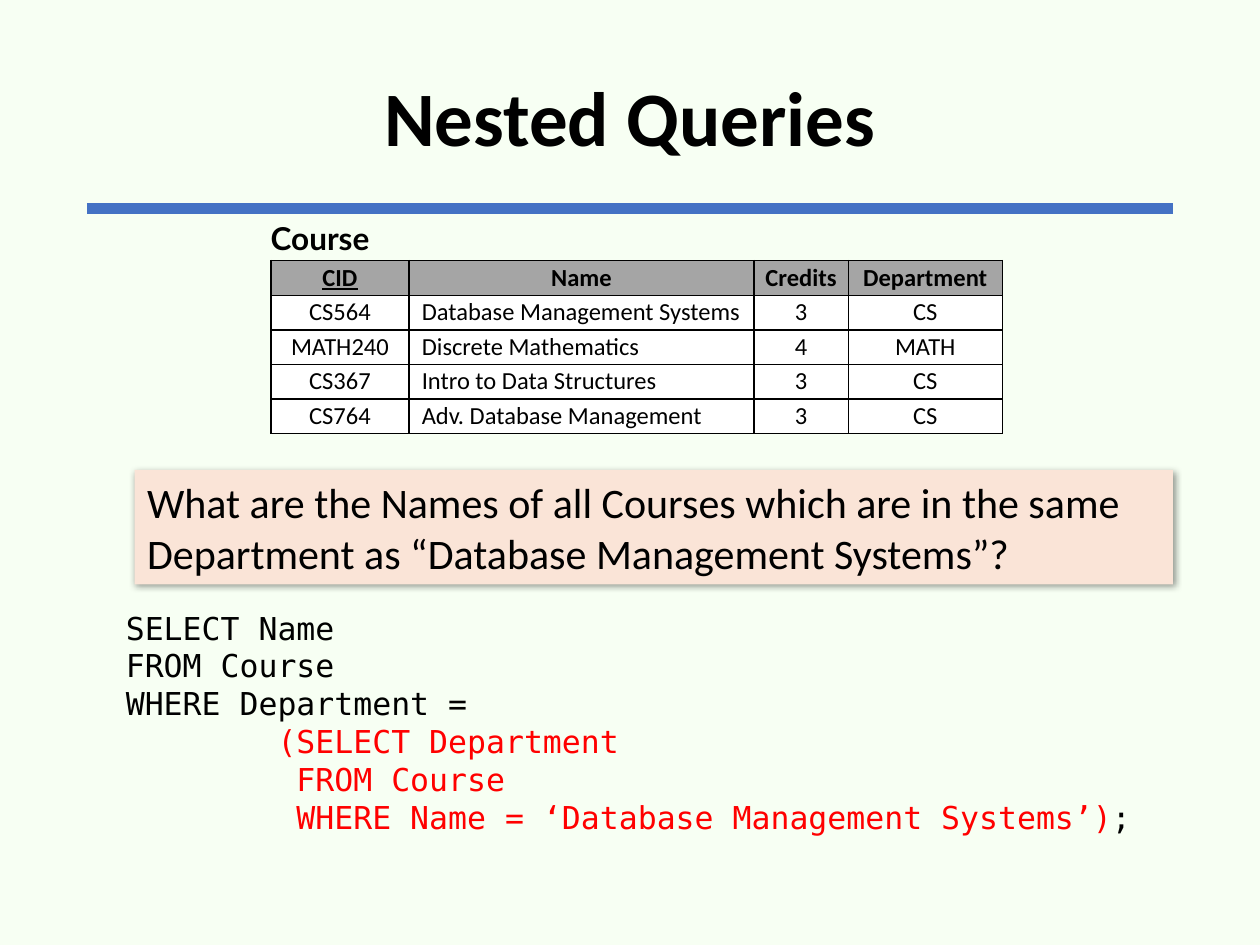
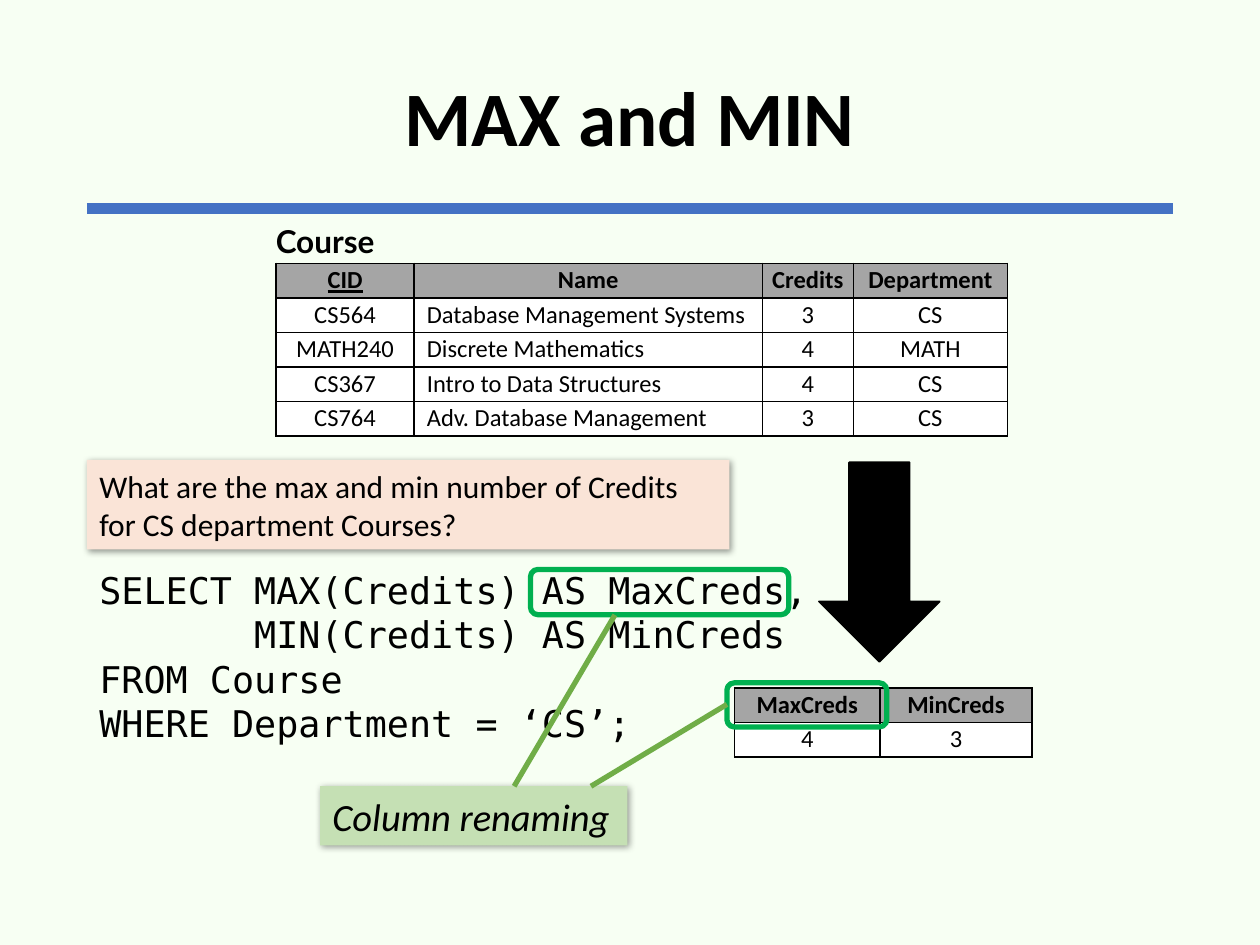
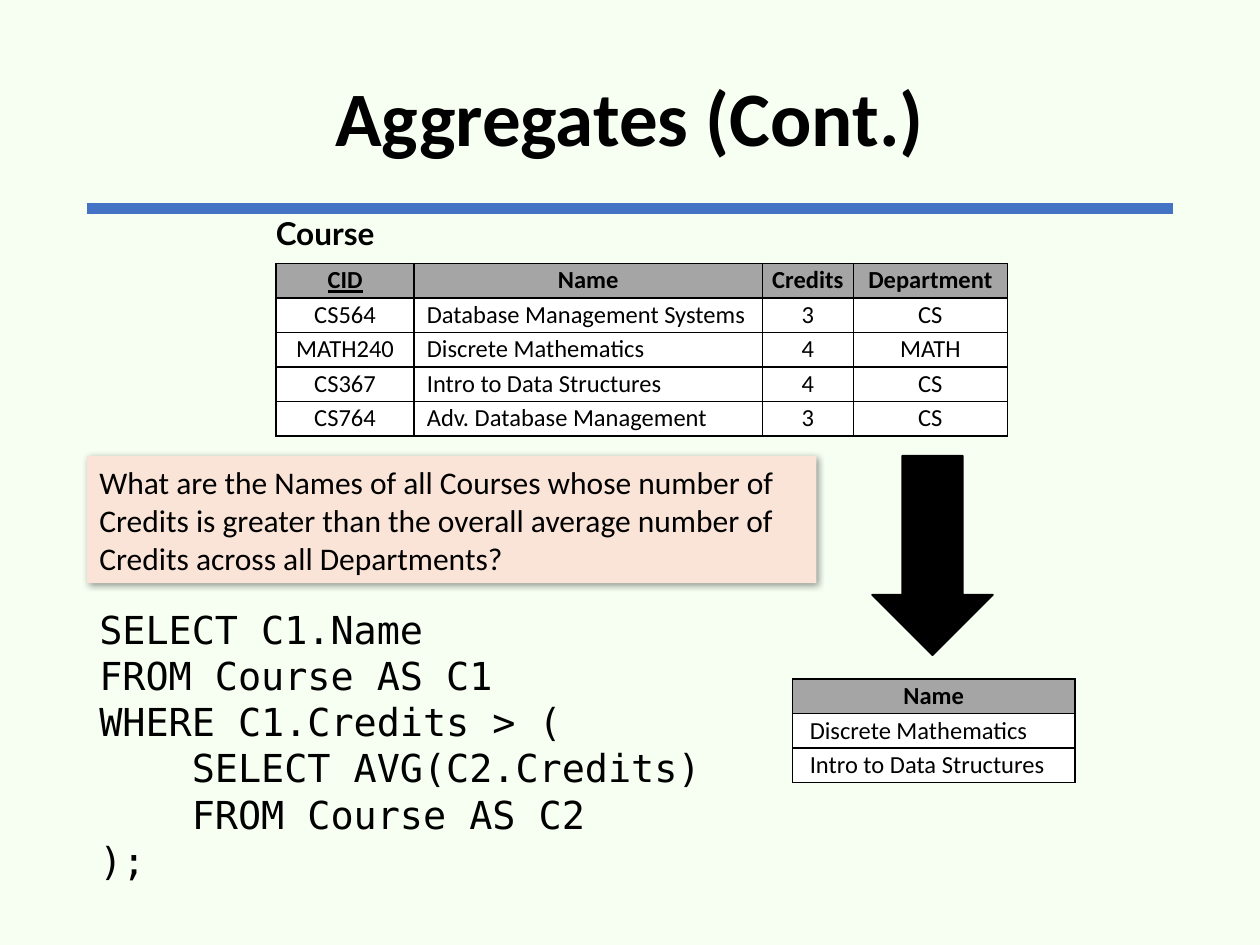
import dataclasses

import lxml.etree
import pptx
import pptx.dml.color
import pptx.enum.shapes
import pptx.enum.text
import pptx.oxml.ns
import pptx.util

Pt = pptx.util.Pt
qn = pptx.oxml.ns.qn
Preset = pptx.enum.shapes.MSO_SHAPE
Align = pptx.enum.text.PP_ALIGN
Fit = pptx.enum.text.MSO_AUTO_SIZE


@dataclasses.dataclass(frozen=True)
class Theme:
    background: str = "F7FFF3"
    rule: str = "4472C4"
    ink: str = "000000"
    header: str = "A5A5A5"
    cell: str = "FFFFFF"
    question: str = "FAE4D7"
    note: str = "C5E0B4"
    highlight: str = "00B050"
    pointer: str = "70AD47"
    subquery: str = "FF0000"
    body_font: str = "Calibri"
    label_font: str = "Lato"
    code_font: str = "DejaVu Sans Mono"
    title_size: float = 44
    question_size: float = 18
    large_question_size: float = 24
    note_size: float = 22
    label_size: float = 18
    cell_size: float = 14
    row_height: float = 19.73
    cell_margin: float = 1.25
    outline: float = 3


THEME = Theme()
COURSE_HEADER = ("CID", "Name", "Credits", "Department")


def rgb(color):
    return pptx.dml.color.RGBColor.from_string(color)


def points(*lengths):
    return [Pt(length) for length in lengths]


def write(frame, lines, *, size, font=THEME.body_font, color=THEME.ink, bold=False,
          italic=False, underline=False, align=Align.LEFT, spacing=None, indent=0):
    for number, line in enumerate(lines):
        paragraph = frame.paragraphs[0] if number == 0 else frame.add_paragraph()
        paragraph.alignment = align
        paragraph.line_spacing = spacing
        if indent:
            properties = paragraph._p.get_or_add_pPr()
            properties.set("marL", str(Pt(indent)))
            properties.set("indent", "0")
        pieces = [(line, color)] if isinstance(line, str) else line
        for words, piece_color in pieces:
            run = paragraph.add_run()
            run.text = words
            run.font.name = font
            run.font.size = Pt(size)
            run.font.bold = bold
            run.font.italic = italic
            run.font.underline = underline
            run.font.color.rgb = rgb(piece_color)


def add_line(slide, start, end, color, width):
    line = slide.shapes.add_connector(
        pptx.enum.shapes.MSO_CONNECTOR.STRAIGHT, *points(*start, *end))
    line.line.color.rgb = rgb(color)
    line.line.width = Pt(width)
    lxml.etree.SubElement(line._element.spPr, qn("a:effectLst"))


def add_titled_slide(deck, heading):
    slide = deck.slides.add_slide(deck.slide_layouts[5])
    title = slide.shapes.title
    title.left, title.top, title.width, title.height = points(49.7, 17.3, 620.6, 104.4)
    title.text_frame.auto_size = Fit.NONE
    title.text_frame.vertical_anchor = pptx.enum.text.MSO_ANCHOR.MIDDLE
    write(title.text_frame, [heading], size=THEME.title_size, bold=True,
          align=Align.CENTER, spacing=0.9)
    add_line(slide, (49.7, 119.3), (670.3, 119.3), THEME.rule, 6)
    return slide


def add_text(slide, box, lines, wrap=True, **style):
    frame = slide.shapes.add_textbox(*points(*box)).text_frame
    frame.word_wrap = wrap
    write(frame, lines, **style)


def add_code(slide, box, lines, size):
    add_text(slide, box, lines, size=size, font=THEME.code_font)


def add_preset(slide, preset, box, fill=None, line=None, width=1):
    shape = slide.shapes.add_shape(preset, *points(*box))
    shape.shadow.inherit = False
    if fill:
        shape.fill.solid()
        shape.fill.fore_color.rgb = rgb(fill)
    else:
        shape.fill.background()
    if line:
        shape.line.color.rgb = rgb(line)
        shape.line.width = Pt(width)
    else:
        shape.line.fill.background()
    return shape


def add_card(slide, box, message, fill, **style):
    card = add_preset(slide, Preset.RECTANGLE, box, fill)
    effects = card._element.spPr.find(qn("a:effectLst"))
    shadow = lxml.etree.SubElement(
        effects, qn("a:outerShdw"), blurRad=str(Pt(4)), dist=str(Pt(1)),
        dir="2700000", algn="tl", rotWithShape="0")
    shade = lxml.etree.SubElement(shadow, qn("a:srgbClr"), val=THEME.ink)
    lxml.etree.SubElement(shade, qn("a:alpha"), val="40000")
    card.text_frame.word_wrap = True
    write(card.text_frame, [message], **style)


def add_arrow(slide, left, top):
    add_preset(slide, Preset.DOWN_ARROW, (left, top, 69, 114), THEME.ink, THEME.ink)


def add_highlight(slide, box):
    add_preset(slide, Preset.ROUNDED_RECTANGLE, box,
               line=THEME.highlight, width=THEME.outline)


def add_borders(cell):
    properties = cell._tc.get_or_add_tcPr()
    for side in ("a:lnL", "a:lnR", "a:lnT", "a:lnB"):
        border = lxml.etree.SubElement(properties, qn(side), w=str(Pt(1)))
        paint = lxml.etree.SubElement(border, qn("a:solidFill"))
        lxml.etree.SubElement(paint, qn("a:srgbClr"), val=THEME.ink)


def add_grid(slide, left, top, widths, rows, name_indent=6):
    grid = slide.shapes.add_table(
        len(rows), len(widths),
        *points(left, top, sum(widths), THEME.row_height * len(rows))).table
    grid.first_row = grid.horz_banding = False
    for column, width in zip(grid.columns, widths):
        column.width = Pt(width)
    for row_number, values in enumerate(rows):
        grid.rows[row_number].height = Pt(THEME.row_height)
        is_header = row_number == 0
        for column_number, value in enumerate(values):
            cell = grid.cell(row_number, column_number)
            cell.margin_left = cell.margin_right = Pt(THEME.cell_margin)
            cell.margin_top = cell.margin_bottom = Pt(THEME.cell_margin)
            add_borders(cell)
            cell.fill.solid()
            cell.fill.fore_color.rgb = rgb(THEME.header if is_header else THEME.cell)
            is_name = not is_header and rows[0][column_number] == "Name"
            write(cell.text_frame, [value], size=THEME.cell_size, bold=is_header,
                  underline=value == "CID",
                  align=Align.LEFT if is_name else Align.CENTER,
                  indent=name_indent if is_name else 0)


def add_course_table(slide, left, top, label_top, widths, structures_credits):
    add_text(slide, (left - 7.2, label_top, 72.7, 28.8), ["Course"], wrap=False,
             size=THEME.label_size, font=THEME.label_font, bold=True)
    add_grid(slide, left, top, widths, [
        COURSE_HEADER,
        ("CS564", "Database Management Systems", "3", "CS"),
        ("MATH240", "Discrete Mathematics", "4", "MATH"),
        ("CS367", "Intro to Data Structures", structures_credits, "CS"),
        ("CS764", "Adv. Database Management", "3", "CS"),
    ])


def build_nested_queries(deck):
    slide = add_titled_slide(deck, "Nested Queries")
    add_course_table(slide, 154.8, 149, 121.7, (79, 197, 54, 88), "3")
    add_card(slide, (77, 268.5, 593.3, 65.5),
             "What are the Names of all Courses which are in the same Department as "
             "“Database Management Systems”?",
             THEME.question, size=THEME.large_question_size)
    add_code(slide, (64.8, 344.2, 589.7, 138.2), [
        "SELECT Name",
        "FROM Course",
        "WHERE Department =",
        [("        (SELECT Department", THEME.subquery)],
        [("         FROM Course", THEME.subquery)],
        [("         WHERE Name = ‘Database Management Systems’)", THEME.subquery),
         (";", THEME.ink)],
    ], 18)


def build_max_and_min(deck):
    slide = add_titled_slide(deck, "MAX and MIN")
    add_code(slide, (49.7, 321.1, 432, 111.6), [
        "SELECT MAX(Credits) AS MaxCreds,",
        "       MIN(Credits) AS MinCreds",
        "FROM Course",
        "WHERE Department = ‘CS’;",
    ], 21)
    add_arrow(slide, 468, 264.2)
    add_grid(slide, 419.8, 393.1, (83, 87), [("MaxCreds", "MinCreds"), ("4", "3")])
    add_card(slide, (49.7, 262.8, 367.2, 51.1),
             "What are the max and min number of Credits for CS department Courses?",
             THEME.question, size=THEME.question_size)
    add_card(slide, (182.9, 449.3, 175.7, 33.8), "Column renaming", THEME.note,
             size=THEME.note_size, italic=True)
    add_highlight(slide, (303.1, 325.4, 147.6, 25.9))
    add_line(slide, (351.4, 351.4), (293.8, 449.3), THEME.pointer, THEME.outline)
    add_highlight(slide, (415.4, 390.2, 91.4, 25.2))
    add_line(slide, (415.4, 402.5), (337.7, 449.3), THEME.pointer, THEME.outline)
    add_course_table(slide, 157.7, 150.5, 123.1, (79, 199, 52, 88), "4")


def build_aggregates(deck):
    slide = add_titled_slide(deck, "Aggregates (Cont.)")
    add_code(slide, (49.7, 342.7, 432, 157.7), [
        "SELECT C1.Name",
        "FROM Course AS C1",
        "WHERE C1.Credits > (",
        "    SELECT AVG(C2.Credits)",
        "    FROM Course AS C2",
        ");",
    ], 22)
    add_arrow(slide, 498.4, 260.4)
    add_grid(slide, 452.9, 388.1, (161.3,), [
        ("Name",), ("Discrete Mathematics",), ("Intro to Data Structures",),
    ], name_indent=8.6)
    add_card(slide, (49.7, 260.6, 416.9, 72.7),
             "What are the Names of all Courses whose number of Credits is greater "
             "than the overall average number of Credits across all Departments?",
             THEME.question, size=THEME.question_size)
    add_course_table(slide, 157.7, 150.5, 118.8, (79, 199, 52, 88), "4")


def main():
    deck = pptx.Presentation()
    deck.slide_width, deck.slide_height = points(720, 540)
    backdrop = deck.slide_master.background.fill
    backdrop.solid()
    backdrop.fore_color.rgb = rgb(THEME.background)
    build_nested_queries(deck)
    build_max_and_min(deck)
    build_aggregates(deck)
    deck.save("out.pptx")


if __name__ == "__main__":
    main()
